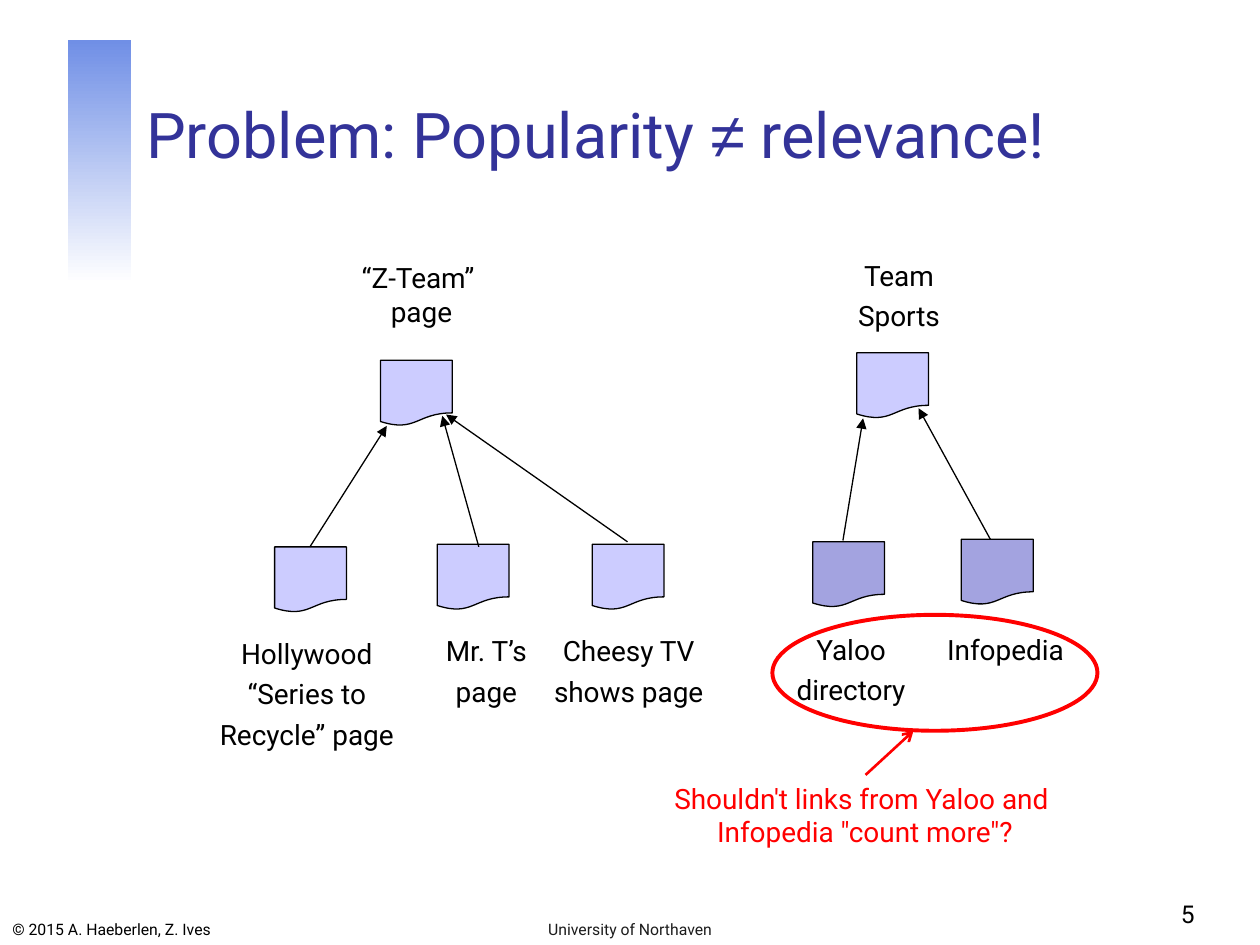
import pptx
import pptx.util
import pptx.dml.color
import pptx.enum.shapes
import pptx.enum.text
import pptx.oxml
import pptx.oxml.ns

Inches = pptx.util.Inches
Pt = pptx.util.Pt
SHAPE = pptx.enum.shapes.MSO_SHAPE
ALIGN = pptx.enum.text.PP_ALIGN
ANCHOR = pptx.enum.text.MSO_ANCHOR
FIT = pptx.enum.text.MSO_AUTO_SIZE

COLORS = {
    "title": "333399",
    "bar": "708FE6",
    "white": "FFFFFF",
    "ink": "000000",
    "gray": "1C1C1C",
    "page": "CCCCFF",
    "trusted": "A3A3E0",
    "red": "FF0000",
}

PAGES = [
    (3.02, 2.86, "page"),
    (2.18, 4.34, "page"),
    (3.47, 4.32, "page"),
    (4.7, 4.32, "page"),
    (6.8, 2.8, "page"),
    (6.45, 4.3, "trusted"),
    (7.63, 4.28, "trusted"),
]

LINKS = [
    (2.46, 4.34, 3.07, 3.38),
    (3.8, 4.34, 3.51, 3.3),
    (4.98, 4.3, 3.54, 3.29),
    (6.69, 4.29, 6.85, 3.32),
    (7.86, 4.28, 7.29, 3.24),
]

LABELS = [
    ("“Z-Team” \vpage", 2.74, 2.02, 1.21, 0.64, "ink"),
    ("Team\nSports", 6.7, 2, 0.87, 0.69, "ink"),
    ("Hollywood\n“Series to\nRecycle” page", 1.62, 5, 1.63, 1.01, "ink"),
    ("Mr. T’s\npage", 3.42, 4.98, 0.88, 0.69, "ink"),
    ("Cheesy TV\nshows page", 4.27, 4.98, 1.44, 0.69, "ink"),
    ("Yaloo\ndirectory", 6.19, 4.97, 1.13, 0.69, "ink"),
    ("Infopedia", 7.37, 4.97, 1.22, 0.37, "ink"),
    ("Shouldn't links from Yaloo and \vInfopedia \"count more\"?",
     5.11, 6.15, 3.51, 0.64, "red"),
]

FOOTERS = [
    ("© 2015 A. Haeberlen, Z. Ives", 0, 7.22, 1.94, 0.28, 9, "ink", ALIGN.LEFT),
    ("University of Northaven", 3.42, 7.22, 3.16, 0.28, 9, "gray", ALIGN.CENTER),
    ("5", 7.5, 6.92, 2.08, 0.5, 14, "ink", ALIGN.RIGHT),
]


def color(name):
    """Return the named colour."""
    return pptx.dml.color.RGBColor.from_string(COLORS[name])


def style(run, size, hue, face="Roboto"):
    """Set the font of a run."""
    run.font.size = Pt(size)
    run.font.name = face
    run.font.color.rgb = color(hue)


def add_title(slide):
    """Place and fill the title."""
    title = slide.shapes.title
    title.left, title.top = Inches(1.06), Inches(0.33)
    title.width, title.height = Inches(8.52), Inches(1.08)
    frame = title.text_frame
    frame.auto_size = FIT.NONE
    frame.vertical_anchor = ANCHOR.BOTTOM
    para = frame.paragraphs[0]
    para.alignment = ALIGN.LEFT
    parts = [("Problem: Popularity ", "Roboto"), ("≠", "Arial"),
             (" relevance!", "Roboto")]
    for text, face in parts:
        run = para.add_run()
        run.text = text
        style(run, 36, "title", face)


def add_text(slide, text, box, size, hue, align):
    """Add a text box and return its frame."""
    frame = slide.shapes.add_textbox(*map(Inches, box)).text_frame
    frame.text = text
    for para in frame.paragraphs:
        para.alignment = align
        for run in para.runs:
            style(run, size, hue)
    return frame


def add_label(slide, text, box, hue):
    """Add a centred diagram label."""
    frame = add_text(slide, text, box, 16, hue, ALIGN.CENTER)
    frame.word_wrap = False
    frame.auto_size = FIT.SHAPE_TO_FIT_TEXT
    for para in frame.paragraphs:
        para.space_before = Pt(4)


def add_footer(slide, text, box, size, hue, align):
    """Add a line of footer text."""
    frame = add_text(slide, text, box, size, hue, align)
    frame.word_wrap = True
    frame.vertical_anchor = ANCHOR.BOTTOM


def add_bar(slide):
    """Add the fading bar beside the title."""
    box = map(Inches, (0.54, 0.32, 0.5, 1.93))
    bar = slide.shapes.add_shape(SHAPE.RECTANGLE, *box)
    bar.shadow.inherit = False
    bar.line.fill.background()
    bar.fill.gradient()
    bar.fill.gradient_angle = 270
    for stop, place, hue in zip(bar.fill.gradient_stops, (0, 1), ("bar", "white")):
        stop.position = place
        stop.color.rgb = color(hue)


def add_page(slide, left, top, hue):
    """Add a web page icon."""
    box = map(Inches, (left, top, 0.57, 0.52))
    page = slide.shapes.add_shape(SHAPE.FLOWCHART_DOCUMENT, *box)
    page.shadow.inherit = False
    page.fill.solid()
    page.fill.fore_color.rgb = color(hue)
    page.line.color.rgb = color("ink")
    page.line.width = Pt(0.75)


def add_ring(slide):
    """Add the ring around the trusted sources."""
    box = map(Inches, (6.13, 4.88, 2.58, 0.92))
    ring = slide.shapes.add_shape(SHAPE.OVAL, *box)
    ring.shadow.inherit = False
    ring.fill.background()
    ring.line.color.rgb = color("red")
    ring.line.width = Pt(2.25)


def add_arrow(slide, ends, hue="ink", width=0.75, head="triangle"):
    """Add a straight arrow."""
    kind = pptx.enum.shapes.MSO_CONNECTOR.STRAIGHT
    arrow = slide.shapes.add_connector(kind, *map(Inches, ends))
    arrow.line.color.rgb = color(hue)
    arrow.line.width = Pt(width)
    tail = pptx.oxml.parse_xml(
        f'<a:tailEnd {pptx.oxml.ns.nsdecls("a")} type="{head}"/>')
    arrow.line._get_or_add_ln().append(tail)
    flat = pptx.oxml.parse_xml(f'<a:effectLst {pptx.oxml.ns.nsdecls("a")}/>')
    arrow._element.spPr.append(flat)


def main():
    """Build and save the slide."""
    deck = pptx.Presentation()
    deck.slide_width, deck.slide_height = Inches(10), Inches(7.5)
    slide = deck.slides.add_slide(deck.slide_layouts[5])
    add_bar(slide)
    add_title(slide)
    for text, *box, size, hue, align in FOOTERS:
        add_footer(slide, text, box, size, hue, align)
    for page in PAGES:
        add_page(slide, *page)
    for ends in LINKS:
        add_arrow(slide, ends)
    for text, *box, hue in LABELS:
        add_label(slide, text, box, hue)
    add_ring(slide)
    add_arrow(slide, (6.87, 6.15, 7.25, 5.8), "red", 1.5, "arrow")
    deck.save("out.pptx")


if __name__ == "__main__":
    main()
